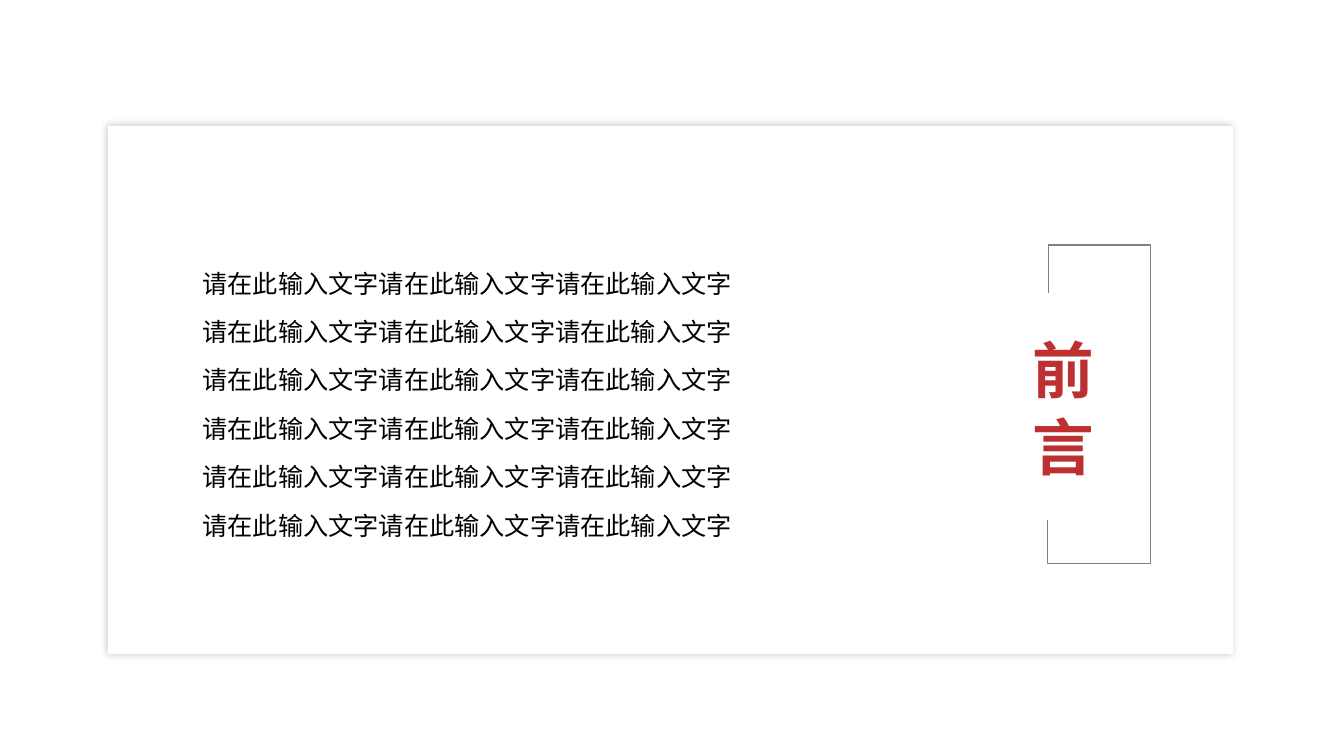
import dataclasses
from typing import Optional

import lxml.etree
import pptx
import pptx.dml.color
import pptx.enum.shapes
import pptx.enum.text
import pptx.oxml.ns
import pptx.shapes.autoshape
import pptx.slide
import pptx.text.text
import pptx.util

Inches = pptx.util.Inches
FONT = "Noto Sans CJK SC"
BODY_LINE = "请在此输入文字" * 3
BRACKET = [(10.4, 2.91), (10.4, 2.43), (11.41, 2.43),
           (11.41, 5.59), (10.39, 5.59), (10.39, 5.16)]


@dataclasses.dataclass
class Panel:
    left: float
    top: float
    width: float
    height: float
    opacity: Optional[int] = None
    shadow: bool = False


@dataclasses.dataclass
class TextBlock:
    left: float
    top: float
    width: float
    height: float
    lines: list[str]
    size: int
    font: str
    color: str
    bold: bool = False
    vertical: bool = False
    level: int = 0
    spacing: Optional[float] = None


PANELS = [
    Panel(-0.01, 0.01, 13.36, 7.54, opacity=34),
    Panel(0.95, 1.34, 11.44, 5, opacity=50),
    Panel(1.07, 1.25, 11.16, 5.24, shadow=True),
]
TITLE = TextBlock(10, 3.27, 0.94, 1.67, ["前 言"], 44, "Arial", "BC3031",
                  bold=True, vertical=True)
BODY = TextBlock(1.91, 2.43, 6.99, 3.01, [BODY_LINE] * 6, 18, FONT, "000000",
                 level=1, spacing=1.6)


def rgb(value: str) -> pptx.dml.color.RGBColor:
    return pptx.dml.color.RGBColor.from_string(value)


def add_child(parent: lxml.etree._Element, tag: str, **attributes: str) -> lxml.etree._Element:
    return lxml.etree.SubElement(parent, pptx.oxml.ns.qn(tag), attributes)


def add_soft_shadow(shape: pptx.shapes.autoshape.Shape) -> None:
    effects = shape._element.spPr.find(pptx.oxml.ns.qn("a:effectLst"))
    shadow = add_child(effects, "a:outerShdw", blurRad=str(pptx.util.Pt(5)),
                       dist="0", dir="0", algn="ctr", rotWithShape="0")
    color = add_child(shadow, "a:srgbClr", val="000000")
    add_child(color, "a:alpha", val="22000")


def draw_panel(page: pptx.slide.Slide, panel: Panel) -> None:
    shape = page.shapes.add_shape(
        pptx.enum.shapes.MSO_SHAPE.RECTANGLE, Inches(panel.left),
        Inches(panel.top), Inches(panel.width), Inches(panel.height))
    shape.shadow.inherit = False
    shape.line.fill.background()
    shape.fill.solid()
    shape.fill.fore_color.rgb = rgb("FFFFFF")
    if panel.opacity is not None:
        color = shape._element.spPr.find(".//" + pptx.oxml.ns.qn("a:srgbClr"))
        add_child(color, "a:alpha", val=str(panel.opacity * 1000))
    if panel.shadow:
        add_soft_shadow(shape)


def draw_bracket(page: pptx.slide.Slide) -> None:
    points = [(Inches(x), Inches(y)) for x, y in BRACKET]
    builder = page.shapes.build_freeform(*points[0])
    builder.add_line_segments(points[1:], close=False)
    shape = builder.convert_to_shape()
    shape.shadow.inherit = False
    shape.fill.background()
    shape.line.color.rgb = rgb("808080")
    shape.line.width = pptx.util.Pt(1)


def add_line(para: pptx.text.text._Paragraph, line: str, block: TextBlock) -> None:
    para.level = block.level
    para.line_spacing = block.spacing
    properties = para._p.get_or_add_pPr()
    properties.set("marL", "0")
    properties.set("indent", "0")
    span = para.add_run()
    span.text = line
    span.font.size = pptx.util.Pt(block.size)
    span.font.bold = block.bold
    span.font.color.rgb = rgb(block.color)
    span.font.name = block.font
    add_child(span.font._element, "a:ea", typeface=FONT)


def draw_text(page: pptx.slide.Slide, block: TextBlock) -> None:
    box = page.shapes.add_textbox(Inches(block.left), Inches(block.top),
                                  Inches(block.width), Inches(block.height))
    frame = box.text_frame
    frame.word_wrap = True
    frame.auto_size = pptx.enum.text.MSO_AUTO_SIZE.SHAPE_TO_FIT_TEXT
    if block.vertical:
        frame._txBody.bodyPr.set("vert", "eaVert")
    for index, line in enumerate(block.lines):
        para = frame.add_paragraph() if index else frame.paragraphs[0]
        add_line(para, line, block)


def main() -> None:
    deck = pptx.Presentation()
    deck.slide_width = Inches(13.33)
    deck.slide_height = Inches(7.5)
    page = deck.slides.add_slide(deck.slide_layouts[6])
    for panel in PANELS:
        draw_panel(page, panel)
    draw_text(page, TITLE)
    draw_bracket(page)
    draw_text(page, BODY)
    deck.save("out.pptx")


if __name__ == "__main__":
    main()
